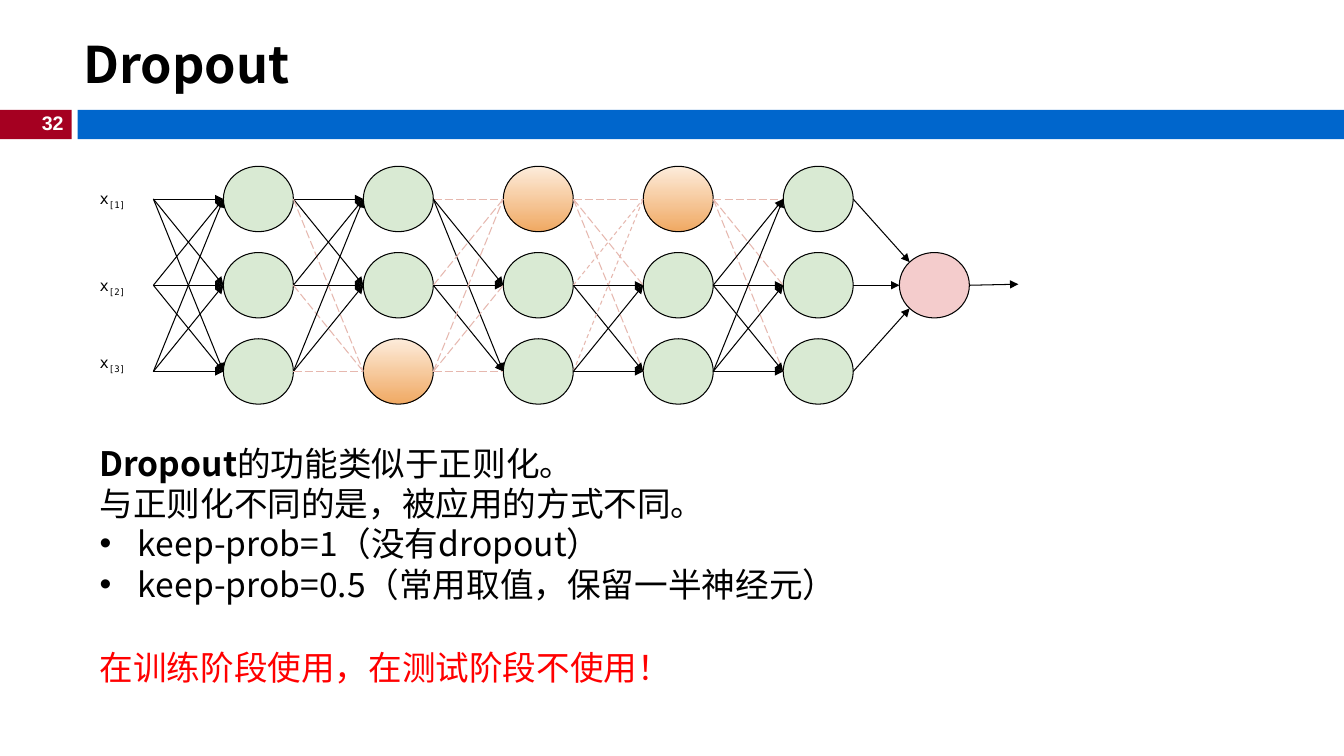
from collections import namedtuple
from itertools import product
from math import sqrt

from lxml import etree
from pptx import Presentation
from pptx import util as u
from pptx.dml.color import RGBColor
from pptx.enum import dml, shapes, text
from pptx.oxml import ns

BLACK = RGBColor(0x00, 0x00, 0x00)
WHITE = RGBColor(0xFF, 0xFF, 0xFF)
CRIMSON = RGBColor(0xA5, 0x00, 0x21)
BLUE = RGBColor(0x00, 0x66, 0xCC)
RED = RGBColor(0xFF, 0x00, 0x00)
GREEN = RGBColor(0xD9, 0xEA, 0xD3)
PINK = RGBColor(0xF4, 0xCC, 0xCC)
ROSE = RGBColor(0xE6, 0xB8, 0xAF)
ORANGE_FADE = (RGBColor(0xFD, 0xEC, 0xDB), RGBColor(0xF0, 0xA9, 0x63))

SANS, CJK, MONO = "Arial", "Noto Sans CJK SC", "DejaVu Sans Mono"
WIDTH, HEIGHT = 13.33, 7.5

LAYERS, ROWS = 5, 3
DROPPED = {(1, 2), (2, 0), (3, 0)}  # (layer, row)
FINE_DASH_LAYER = 3

Box = namedtuple("Box", "left top width height")
Point = namedtuple("Point", "x y")


def inches(*lengths):
    return [u.Inches(length) for length in lengths]


def add_child(parent, tag, **attributes):
    child = etree.SubElement(parent, ns.qn(tag))
    for name, value in attributes.items():
        child.set(name, value)
    return child


def add_shape(page, kind, box, color, outlined=False):
    """Add a shape; a pair of colours gives a top-to-bottom gradient."""
    shape = page.shapes.add_shape(kind, *inches(*box))
    shape.shadow.inherit = False
    if isinstance(color, RGBColor):
        shape.fill.solid()
        shape.fill.fore_color.rgb = color
    else:
        shape.fill.gradient()
        shape.fill.gradient_angle = 270
        for stop, shade in zip(shape.fill.gradient_stops, color):
            stop.color.rgb = shade
    if outlined:
        shape.line.color.rgb = BLACK
        shape.line.width = u.Pt(0.75)
    else:
        shape.line.fill.background()
    return shape


def add_line(page, start, end, dash=None):
    """Add a black arrow, or a rose line without a head if a dash is given."""
    line = page.shapes.add_connector(shapes.MSO_CONNECTOR.STRAIGHT, *inches(*start, *end))
    line.line.width = u.Pt(0.75)
    line.line.color.rgb = ROSE if dash else BLACK
    if dash:
        line.line.dash_style = dash
    else:
        add_child(line.line._get_or_add_ln(), "a:tailEnd", type="triangle")
    add_child(line._element.spPr, "a:effectLst")


def add_text(page, box, paragraphs, size, font, color=BLACK, wrap=True):
    """Add a text box; each paragraph is a list of run texts."""
    frame = page.shapes.add_textbox(*inches(*box)).text_frame
    frame.word_wrap = wrap
    for index, spans in enumerate(paragraphs):
        para = frame.add_paragraph() if index else frame.paragraphs[0]
        for words in spans:
            span = para.add_run()
            span.text = words
            add_child(span._r.get_or_add_rPr(), "a:ea", typeface=CJK)
        para.font.size = u.Pt(size)
        para.font.name = font
        para.font.color.rgb = color
    return frame


def draw_header(page, box, title, number):
    """Draw the title above a band that carries the slide number."""
    band_top, band_height = box.top + 0.79 * box.height, 0.21 * box.height
    rect = shapes.MSO_SHAPE.RECTANGLE
    tab = 0.71
    add_shape(page, rect, Box(box.left, band_top, tab, band_height), CRIMSON)
    bar_left = tab + 0.06
    add_shape(page, rect, Box(bar_left, band_top, box.width - bar_left, band_height), BLUE)

    number_box = Box(box.left + 0.29, band_top - 0.04, 0.44, 0.34)
    frame = add_text(page, number_box, [[number]], 14, SANS, WHITE, wrap=False)
    frame.paragraphs[0].alignment = text.PP_ALIGN.RIGHT
    frame.paragraphs[0].font.bold = True

    title_box = Box(box.left + 0.73, box.top + 0.26, box.width - 0.73, 0.74)
    frame = add_text(page, title_box, [[title]], 36, CJK)
    frame.vertical_anchor = text.MSO_ANCHOR.MIDDLE
    frame.paragraphs[0].font.bold = True


def draw_network(page, box):
    """Draw the inputs, five layers of three neurons, and the output neuron."""
    cell = box.width / 13.27
    node_height = 0.275 * box.height
    pitch = (box.height - node_height) / (ROWS - 1)
    input_x = box.left + 0.91 * cell
    output_x = input_x + 10.66 * cell
    centers = [box.top + node_height / 2 + row * pitch for row in range(ROWS)]

    def layer_left(layer):
        return input_x + (1 + 2 * layer) * cell

    def add_node(left, row, color):
        node = Box(left, box.top + row * pitch, cell, node_height)
        add_shape(page, shapes.MSO_SHAPE.OVAL, node, color, outlined=True)

    for layer, row in product(range(LAYERS), range(ROWS)):
        add_node(layer_left(layer), row, ORANGE_FADE if (layer, row) in DROPPED else GREEN)
    add_node(output_x, 1, PINK)

    for layer, source, target in product(range(LAYERS), range(ROWS), range(ROWS)):
        dash = None
        if (layer - 1, source) in DROPPED:
            dash = dml.MSO_LINE.LONG_DASH
        elif (layer, target) in DROPPED:
            fine = layer == FINE_DASH_LAYER
            dash = dml.MSO_LINE.DASH if fine else dml.MSO_LINE.LONG_DASH
        end_x = layer_left(layer)
        add_line(page, Point(end_x - cell, centers[source]), Point(end_x, centers[target]), dash)

    last_x = layer_left(LAYERS - 1) + cell
    diagonal = 1 / sqrt(2)
    for side, center in zip((-1, 0, 1), centers):
        reach = diagonal if side else 1
        end = Point(output_x + cell / 2 * (1 - reach),
                    centers[1] + side * diagonal * node_height / 2)
        add_line(page, Point(last_x, center), end)
    add_line(page, Point(output_x + cell, centers[1]),
             Point(box.left + box.width, centers[1] - 0.01))

    for number, (center, lift) in enumerate(zip(centers, (0.1, 0.09, 0.18)), 1):
        label = Box(box.left, center - lift, cell, 0.39)
        frame = add_text(page, label, [["x", f"[{number}]"]], 11, MONO)
        frame.margin_top = frame.margin_bottom = 0
        frame.paragraphs[0].runs[1]._r.get_or_add_rPr().set("baseline", "-25000")


def add_bullet(para):
    indent = u.Inches(0.38)
    properties = para._p.get_or_add_pPr()
    properties.set("marL", str(indent))
    properties.set("indent", str(-indent))
    bullet_font = etree.Element(ns.qn("a:buFont"), typeface=SANS)
    bullet = etree.Element(ns.qn("a:buChar"), char="•")
    properties.insert(0, bullet_font)
    properties.insert(1, bullet)


def draw_explanation(page, box):
    notes = [["Dropout", "的功能类似于正则化。"],
             ["与正则化不同的是，被应用的方式不同。"],
             ["keep-prob=1（没有dropout）"],
             ["keep-prob=0.5（常用取值，保留一半神经元）"]]
    frame = add_text(page, Box(box.left, box.top, box.width, 0.68 * box.height), notes, 24, CJK)
    frame.paragraphs[0].runs[0].font.bold = True
    for para in frame.paragraphs[2:]:
        add_bullet(para)

    warning = Box(box.left, box.top + 0.8 * box.height, 0.92 * box.width, 0.2 * box.height)
    add_text(page, warning, [["在训练阶段使用，在测试阶段不使用！"]], 24, SANS, RED)


def main():
    deck = Presentation()
    deck.slide_width, deck.slide_height = inches(WIDTH, HEIGHT)
    page = deck.slides.add_slide(deck.slide_layouts[6])
    draw_header(page, Box(0, 0, WIDTH, 1.38), "Dropout", "32")
    draw_network(page, Box(0.89, 1.65, 9.21, 2.36))
    draw_explanation(page, Box(0.89, 4.34, 11.2, 2.54))
    deck.save("out.pptx")


if __name__ == "__main__":
    main()
